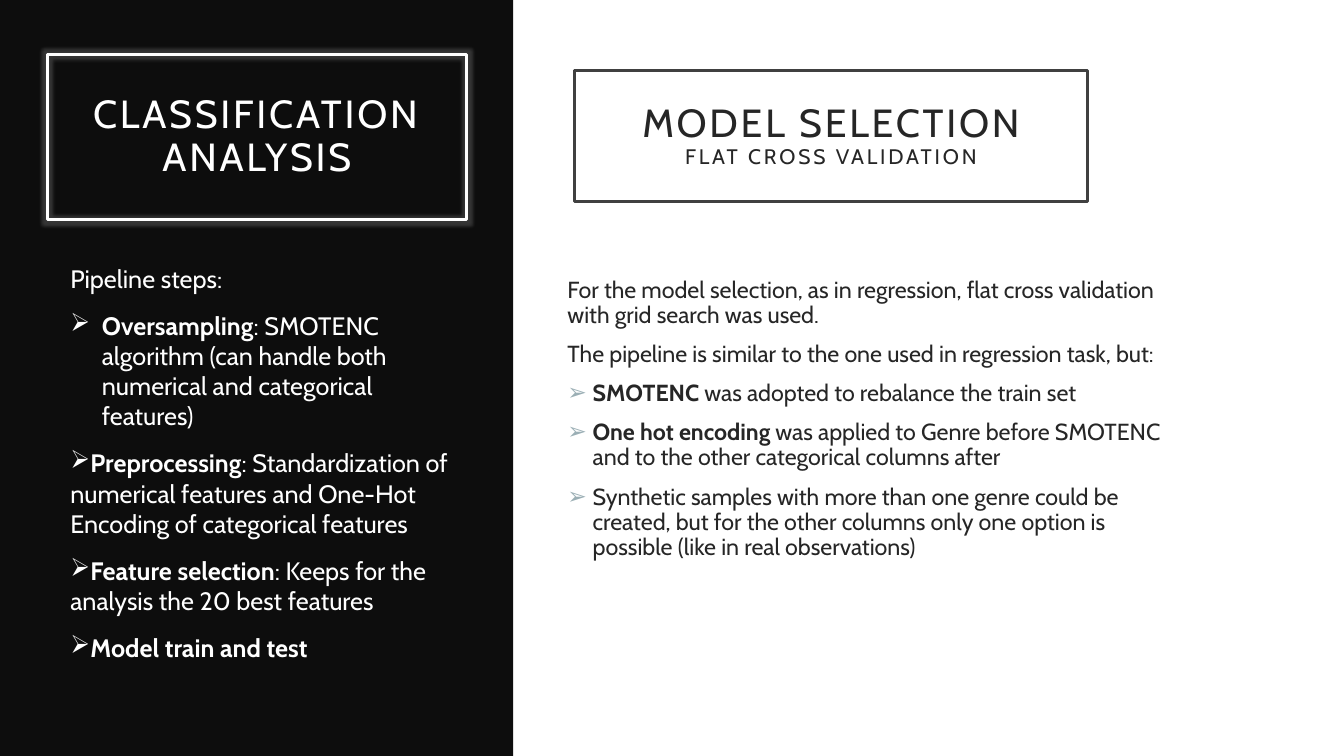
from dataclasses import dataclass

from lxml import etree
from pptx import Presentation
from pptx.dml.color import RGBColor
from pptx.enum.shapes import MSO_SHAPE
from pptx.enum.text import MSO_ANCHOR, MSO_AUTO_SIZE, PP_ALIGN
from pptx.oxml.ns import qn
from pptx.util import Pt

RECT = MSO_SHAPE.RECTANGLE
MIDDLE, TOP = MSO_ANCHOR.MIDDLE, MSO_ANCHOR.TOP
LEFT, CENTER = PP_ALIGN.LEFT, PP_ALIGN.CENTER
FIXED, GROW = MSO_AUTO_SIZE.NONE, MSO_AUTO_SIZE.SHAPE_TO_FIT_TEXT

COLORS = {
    "panel": "0D0D0D",
    "white": "FFFFFF",
    "text": "262626",
    "frame": "404040",
    "mark": "9BAFB5",
}
FACE = "Cabin"


@dataclass
class Style:
    size: float
    color: str
    align: PP_ALIGN = LEFT
    space: float = 1.0
    before: float = 0
    after: float = 0
    track: int = 0
    mark: str = ""


@dataclass
class Item:
    text: str
    lead: str = ""
    bullet: bool = False
    indent: float = 0
    size: float = 0
    space: float = 0


def rgb(name: str) -> RGBColor:
    return RGBColor.from_string(COLORS[name])


def place(shape, left: float, top: float, width: float, height: float) -> None:
    shape.left, shape.top = Pt(left), Pt(top)
    shape.width, shape.height = Pt(width), Pt(height)


def set_bullet(para, item: Item, color: str) -> None:
    props = para._p.get_or_add_pPr()
    props.set("marL", str(Pt(item.indent)))
    props.set("indent", str(-Pt(item.indent)))
    if not item.bullet:
        etree.SubElement(props, qn("a:buNone"))
        return
    if color:
        tint = etree.SubElement(props, qn("a:buClr"))
        etree.SubElement(tint, qn("a:srgbClr"), val=COLORS[color])
    etree.SubElement(props, qn("a:buChar"), char="➢")


def add_run(para, text: str, bold: bool, track: int) -> None:
    run = para.add_run()
    run.text = text
    run.font.bold = bold
    if track:
        run._r.get_or_add_rPr().set("spc", str(track))


def write(shape, items: list[Item], style: Style) -> None:
    frame = shape.text_frame
    frame.word_wrap = True
    for index, item in enumerate(items):
        para = frame.add_paragraph() if index else frame.paragraphs[0]
        para.alignment = style.align
        para.line_spacing = item.space or style.space
        para.space_before = Pt(style.before if index else 0)
        para.space_after = Pt(style.after)
        set_bullet(para, item, style.mark)
        para.font.name = FACE
        para.font.size = Pt(item.size or style.size)
        para.font.color.rgb = rgb(style.color)
        if item.lead:
            add_run(para, item.lead, True, style.track)
        if item.text:
            add_run(para, item.text, False, style.track)


def draw_frame(shape, color: str) -> None:
    shape.line.color.rgb = rgb(color)
    shape.line.width = Pt(2.5)
    shape.shadow.inherit = False
    frame = shape.text_frame
    frame.auto_size = FIXED
    frame.vertical_anchor = MIDDLE
    frame.margin_left = frame.margin_right = Pt(14.4)
    frame.margin_top = frame.margin_bottom = Pt(14.4)


def add_glow(shape, color: str) -> None:
    effect = shape._element.spPr.find(qn("a:effectLst"))
    glow = etree.SubElement(effect, qn("a:glow"), rad=str(Pt(5)))
    tint = etree.SubElement(glow, qn("a:srgbClr"), val=COLORS[color])
    etree.SubElement(tint, qn("a:alpha"), val="17000")


STEPS = [
    Item("Pipeline steps:", space=1.5),
    Item(": SMOTENC algorithm (can handle both numerical and categorical features)",
         "Oversampling", True, 22.5),
    Item(": Standardization of numerical features and One-Hot Encoding of categorical features",
         "Preprocessing", True),
    Item(": Keeps for the analysis the 20 best features", "Feature selection", True),
    Item("", "Model train and test", True),
]
NOTES = [
    Item("For the model selection, as in regression, flat cross validation "
         "with grid search was used."),
    Item("The pipeline is similar to the one used in regression task, but:"),
    Item(" was adopted to rebalance the train set", "SMOTENC", True, 18),
    Item("was applied to Genre before SMOTENC and to the other categorical columns after",
         "One hot encoding ", True, 18),
    Item("Synthetic samples with more than one genre could be created, but for the other "
         "columns only one option is possible (like in real observations)", "", True, 18),
]
HEADS = [Item("MODEL SELECTION"), Item("FLAT CROSS VALIDATION", size=15)]


def main() -> None:
    deck = Presentation()
    deck.slide_width, deck.slide_height = Pt(960), Pt(540)
    slide = deck.slides.add_slide(deck.slide_layouts[1])
    shapes = slide.shapes

    panel = shapes.add_shape(RECT, 0, 0, Pt(366.5), Pt(540))
    panel.fill.solid()
    panel.fill.fore_color.rgb = rgb("panel")
    panel.line.fill.background()
    panel.shadow.inherit = False
    shapes._spTree.insert(2, panel._element)

    title = shapes.title
    place(title, 33.84, 38.88, 299.52, 118.08)
    title.fill.background()
    draw_frame(title, "white")
    add_glow(title, "white")
    write(title, [Item("CLASSIFICATION ANALYSIS")],
          Style(28, "white", CENTER, 0.9, track=200))

    body = slide.placeholders[1]
    place(body, 398.16, 195.12, 457.2, 226.8)
    body.text_frame.auto_size = FIXED
    body.text_frame.vertical_anchor = TOP
    write(body, NOTES, Style(16.6, "text", space=0.9, before=10, mark="mark"))

    steps = shapes.add_textbox(Pt(43.2), Pt(173.52), Pt(289.44), Pt(328.32))
    steps.text_frame.auto_size = GROW
    write(steps, STEPS, Style(18, "white", after=12))

    badge = shapes.add_shape(RECT, Pt(410.4), Pt(50.4), Pt(366.5), Pt(93.6))
    badge.fill.solid()
    badge.fill.fore_color.rgb = rgb("white")
    draw_frame(badge, "frame")
    write(badge, HEADS, Style(28, "text", CENTER, 0.9, track=200))

    deck.save("out.pptx")


if __name__ == "__main__":
    main()
